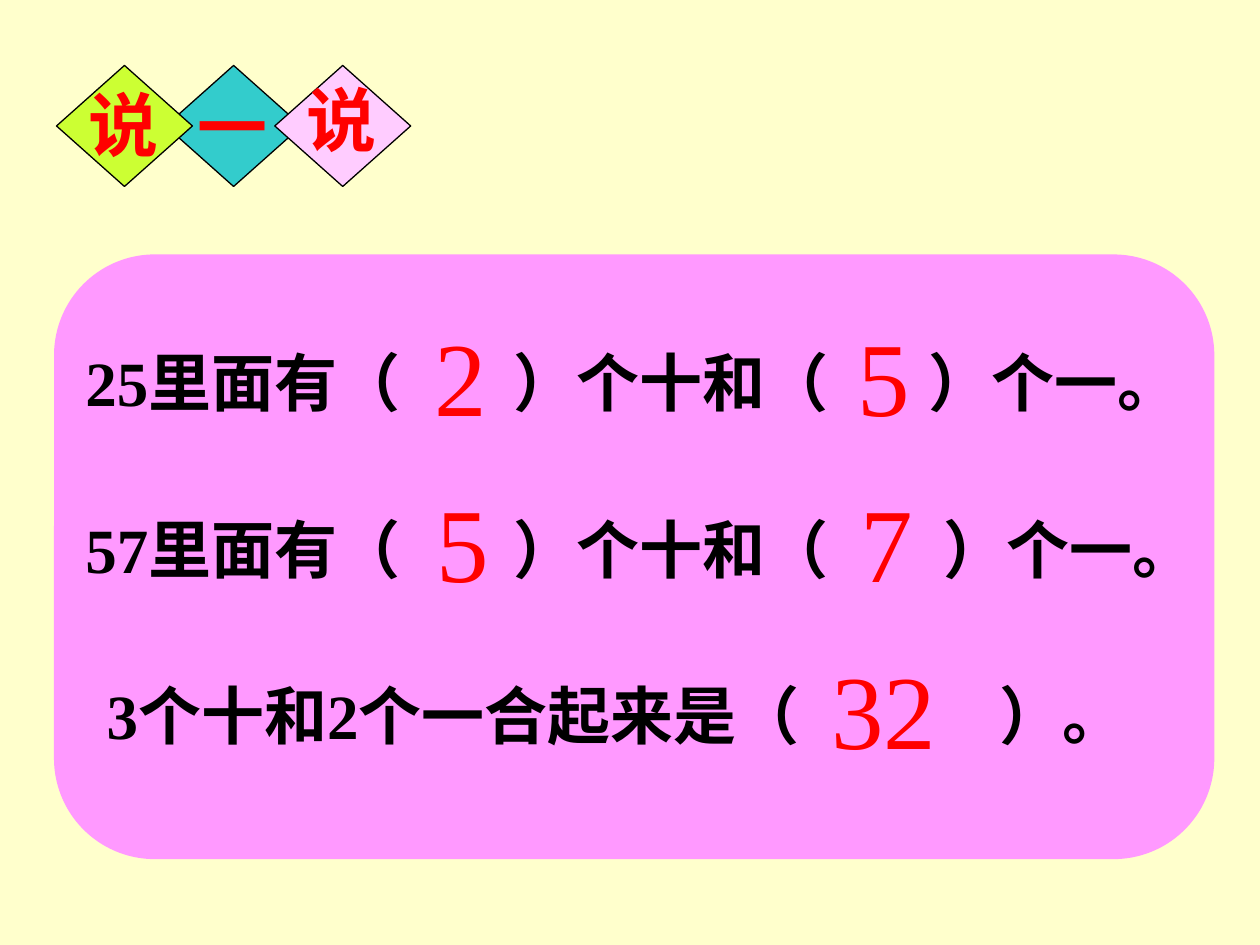
from dataclasses import dataclass

from lxml.etree import SubElement as Sub
from pptx import Presentation
from pptx.dml.color import RGBColor as Rgb
from pptx.enum.shapes import MSO_SHAPE as Kind
from pptx.enum.text import MSO_AUTO_SIZE as Fit
from pptx.oxml.ns import qn
from pptx.util import Cm, Pt


@dataclass(frozen=True)
class Theme:
    font: str = "Times New Roman"
    page: str = "FFFFCC"
    panel: str = "FF99FF"
    ink: str = "000000"
    red: str = "FF0000"
    gems: tuple = ("CCFF33", "33CCCC", "FFCCFF")
    head: int = 40
    body: int = 36
    reply: int = 60


@dataclass(frozen=True)
class Box:
    x: float
    y: float
    w: float
    h: float

    def inner(self, x, y, w, h):
        return Box(self.x + x, self.y + y, w, h)

    def cm(self):
        return [Cm(n) for n in (self.x, self.y, self.w, self.h)]


@dataclass(frozen=True)
class Row:
    text: str
    left: float
    width: float
    tabs: tuple
    fills: tuple


LOOK = Theme()
ROWS = (
    Row("25里面有（\t）个十和（\t）个一。", 0.38, 24.13, (8.64, 16.99),
        (("2", 7.42, 1.6), ("5", 15.95, 2.54))),
    Row("57里面有（\t）个十和（\t）个一。", 0.38, 23.42, (8.64, 17.3),
        (("5", 7.47, 2.54), ("7", 16, 2.54))),
    Row("3个十和2个一合起来是（\t）。", 0.81, 22.66, (18,),
        (("32", 15.42, 4.24),)),
)


def add_form(shapes, kind, box, fill, line=None):
    form = shapes.add_shape(kind, *box.cm())
    form.shadow.inherit = False
    form.fill.solid()
    form.fill.fore_color.rgb = Rgb.from_string(fill)
    if line:
        form.line.color.rgb = Rgb.from_string(line)
        form.line.width = Pt(0.75)
    else:
        form.line.fill.background()


def add_text(shapes, box, text, size, hue, bold=False, tabs=()):
    frame = shapes.add_textbox(*box.cm()).text_frame
    frame.word_wrap = True
    frame.auto_size = Fit.SHAPE_TO_FIT_TEXT
    frame.text = text
    para = frame.paragraphs[0]
    if tabs:
        stops = Sub(para._p.get_or_add_pPr(), qn("a:tabLst"))
        for stop in tabs:
            Sub(stops, qn("a:tab"), pos=str(Cm(stop)), algn="l")
    for run in para.runs:
        font = run.font
        font.name, font.size, font.bold = LOOK.font, Pt(size), bold
        font.color.rgb = Rgb.from_string(hue)


def draw_head(slide, box):
    shapes = slide.shapes.add_group_shape().shapes
    wide = 2.74
    step = (box.w - wide) / 2
    drops = (0.2, 0.23, 0.1)
    for i in (1, 0, 2):
        gem = box.inner(i * step, 0, wide, box.h)
        add_form(shapes, Kind.DIAMOND, gem, LOOK.gems[i], LOOK.ink)
        add_text(shapes, gem.inner(0.39, drops[i], 1.78, 1.96),
                 "说一说"[i], LOOK.head, LOOK.red, True)


def draw_panel(slide, box):
    shapes = slide.shapes
    add_form(shapes, Kind.ROUNDED_RECTANGLE, box, LOOK.panel)
    for i, row in enumerate(ROWS):
        top = 1.68 + i * 3.35
        add_text(shapes, box.inner(row.left, top, row.width, 1.78),
                 row.text, LOOK.body, LOOK.ink, True, row.tabs)
        for text, left, width in row.fills:
            add_text(shapes, box.inner(left, top - 0.65, width, 2.79),
                     text, LOOK.reply, LOOK.red)


def main():
    deck = Presentation()
    deck.slide_width, deck.slide_height = Cm(25.4), Cm(19.05)
    slide = deck.slides.add_slide(deck.slide_layouts[6])
    back = slide.background.fill
    back.solid()
    back.fore_color.rgb = Rgb.from_string(LOOK.page)
    draw_panel(slide, Box(1.09, 5.13, 23.39, 12.19))
    draw_head(slide, Box(1.14, 1.32, 7.14, 2.44))
    deck.save("out.pptx")


if __name__ == "__main__":
    main()
